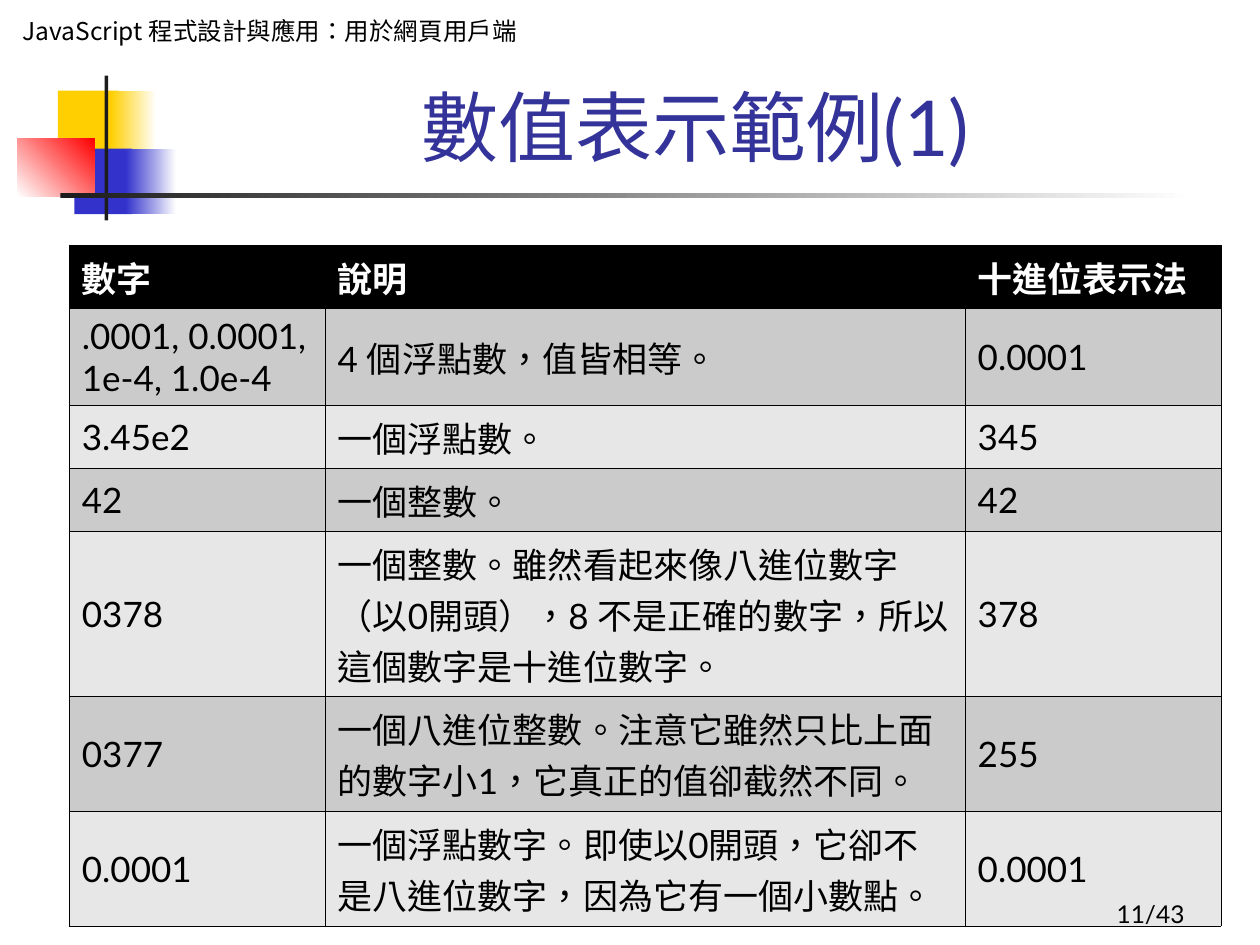
from typing import NamedTuple, Optional

from lxml import etree
from pptx import Presentation
from pptx.dml.color import RGBColor
from pptx.enum import shapes, text
from pptx.oxml import ns
from pptx.util import Inches, Pt

BLACK = RGBColor(0x00, 0x00, 0x00)
WHITE = RGBColor(0xFF, 0xFF, 0xFF)
YELLOW = RGBColor(0xFF, 0xCF, 0x01)
BLUE = RGBColor(0x33, 0x33, 0xCC)
RED = RGBColor(0xFF, 0x00, 0x00)
CHARCOAL = RGBColor(0x1C, 0x1C, 0x1C)
TITLE_BLUE = RGBColor(0x33, 0x33, 0x99)
DARK_BAND = RGBColor(0xCB, 0xCB, 0xCB)
LIGHT_BAND = RGBColor(0xE7, 0xE7, 0xE7)

LATIN_FONT = "Lato"
CJK_FONT = "Noto Sans CJK SC"
LANGUAGE = "zh-TW"


class Block(NamedTuple):
    left: float
    top: float
    width: float
    height: float
    color: RGBColor
    fade_to: Optional[RGBColor] = None
    angle: float = 0


class Label(NamedTuple):
    left: float
    top: float
    width: float
    height: float
    wording: str
    size: float
    color: RGBColor = BLACK
    font: str = LATIN_FONT
    align: text.PP_ALIGN = text.PP_ALIGN.LEFT
    anchor: text.MSO_ANCHOR = text.MSO_ANCHOR.BOTTOM


class NumberRow(NamedTuple):
    height: float
    number: str
    description: str
    decimal: str


ORNAMENT = [
    Block(0.46, 0.72, 0.48, 0.52, YELLOW),
    Block(0.88, 0.72, 0.36, 0.52, YELLOW, WHITE),
    Block(0.59, 1.18, 0.46, 0.52, BLUE),
    Block(1.00, 1.18, 0.40, 0.52, BLUE, WHITE),
    Block(0.14, 1.10, 0.61, 0.46, WHITE, RED, 45),
    Block(0.83, 0.60, 0.03, 1.15, CHARCOAL),
    Block(0.48, 1.53, 9.00, 0.04, CHARCOAL, WHITE),
]

COURSE_PANEL = Block(0.08, 0.08, 4.68, 0.34, WHITE)
COURSE = Label(*COURSE_PANEL[:4], "JavaScript 程式設計與應用：用於網頁用戶端", 14,
               font=CJK_FONT, anchor=text.MSO_ANCHOR.TOP)
TITLE = Label(1.26, 0.58, 8.52, 0.83, "數值表示範例(1)", 44, TITLE_BLUE,
              align=text.PP_ALIGN.CENTER)
PAGE = Label(7.42, 6.92, 2.08, 0.5, "11/43", 14, align=text.PP_ALIGN.RIGHT)

COLUMN_WIDTHS = [2.03, 5.08, 2.03]
NUMBER_ROWS = [
    NumberRow(0.5, "數字", "說明", "十進位表示法"),
    NumberRow(0.77, ".0001, 0.0001, 1e-4, 1.0e-4", "4 個浮點數，值皆相等。", "0.0001"),
    NumberRow(0.5, "3.45e2", "一個浮點數。", "345"),
    NumberRow(0.5, "42", "一個整數。", "42"),
    NumberRow(1.31, "0378",
              "一個整數。雖然看起來像八進位數字（以0開頭），8 不是正確的數字，"
              "所以這個數字是十進位數字。", "378"),
    NumberRow(0.91, "0377",
              "一個八進位整數。注意它雖然只比上面的數字小1，它真正的值卻截然不同。", "255"),
    NumberRow(0.91, "0.0001",
              "一個浮點數字。即使以0開頭，它卻不是八進位數字，因為它有一個小數點。", "0.0001"),
]


def style_paragraph(paragraph, size: float, color: RGBColor,
                    font: str = LATIN_FONT, bold: bool = False) -> None:
    paragraph.font.size = Pt(size)
    paragraph.font.bold = bold
    paragraph.font.color.rgb = color
    paragraph.font.name = font
    defaults = paragraph._p.pPr.find(ns.qn("a:defRPr"))
    etree.SubElement(defaults, ns.qn("a:ea"), typeface=CJK_FONT)
    # The language selects the Traditional Chinese forms of the punctuation.
    defaults.set("lang", LANGUAGE)
    for run in paragraph.runs:
        run._r.get_or_add_rPr().set("lang", LANGUAGE)


def draw_block(slide, block: Block):
    shape = slide.shapes.add_shape(
        shapes.MSO_SHAPE.RECTANGLE, Inches(block.left), Inches(block.top),
        Inches(block.width), Inches(block.height))
    shape.shadow.inherit = False
    shape.line.fill.background()
    if block.fade_to is None:
        shape.fill.solid()
        shape.fill.fore_color.rgb = block.color
        return shape
    shape.fill.gradient()
    shape.fill.gradient_angle = block.angle
    for stop, color in zip(shape.fill.gradient_stops, (block.color, block.fade_to)):
        stop.color.rgb = color
    return shape


def write_label(shape, label: Label) -> None:
    frame = shape.text_frame
    frame.word_wrap = True
    frame.vertical_anchor = label.anchor
    paragraph = frame.paragraphs[0]
    paragraph.text = label.wording
    paragraph.alignment = label.align
    style_paragraph(paragraph, label.size, label.color, label.font)


def draw_label(slide, label: Label) -> None:
    box = slide.shapes.add_textbox(Inches(label.left), Inches(label.top),
                                   Inches(label.width), Inches(label.height))
    write_label(box, label)


def border_cell(cell, color: RGBColor, width: float) -> None:
    properties = cell._tc.get_or_add_tcPr()
    for position, side in enumerate(("lnL", "lnR", "lnT", "lnB")):
        line = etree.Element(ns.qn(f"a:{side}"), w=str(Pt(width)))
        fill = etree.SubElement(line, ns.qn("a:solidFill"))
        etree.SubElement(fill, ns.qn("a:srgbClr"), val=str(color))
        properties.insert(position, line)


def draw_number_table(slide, left: float, top: float) -> None:
    table = slide.shapes.add_table(
        len(NUMBER_ROWS), len(COLUMN_WIDTHS), Inches(left), Inches(top),
        Inches(sum(COLUMN_WIDTHS)), Inches(sum(row.height for row in NUMBER_ROWS))).table
    for column, width in zip(table.columns, COLUMN_WIDTHS):
        column.width = Inches(width)
    for index, row in enumerate(NUMBER_ROWS):
        table.rows[index].height = Inches(row.height)
        is_header = index == 0
        band = BLACK if is_header else DARK_BAND if index % 2 else LIGHT_BAND
        wordings = (row.number, row.description, row.decimal)
        for cell, wording in zip(table.rows[index].cells, wordings):
            cell.fill.solid()
            cell.fill.fore_color.rgb = band
            cell.vertical_anchor = text.MSO_ANCHOR.MIDDLE
            cell.text = wording
            style_paragraph(cell.text_frame.paragraphs[0], 20,
                            WHITE if is_header else BLACK, bold=is_header)
            border_cell(cell, BLACK, 0.45)


def main() -> None:
    presentation = Presentation()
    presentation.slide_width = Inches(10)
    presentation.slide_height = Inches(7.5)
    slide = presentation.slides.add_slide(presentation.slide_layouts[6])
    for block in ORNAMENT:
        draw_block(slide, block)
    write_label(draw_block(slide, COURSE_PANEL), COURSE)
    draw_label(slide, TITLE)
    draw_number_table(slide, 0.55, 1.95)
    draw_label(slide, PAGE)
    presentation.save("out.pptx")


if __name__ == "__main__":
    main()
